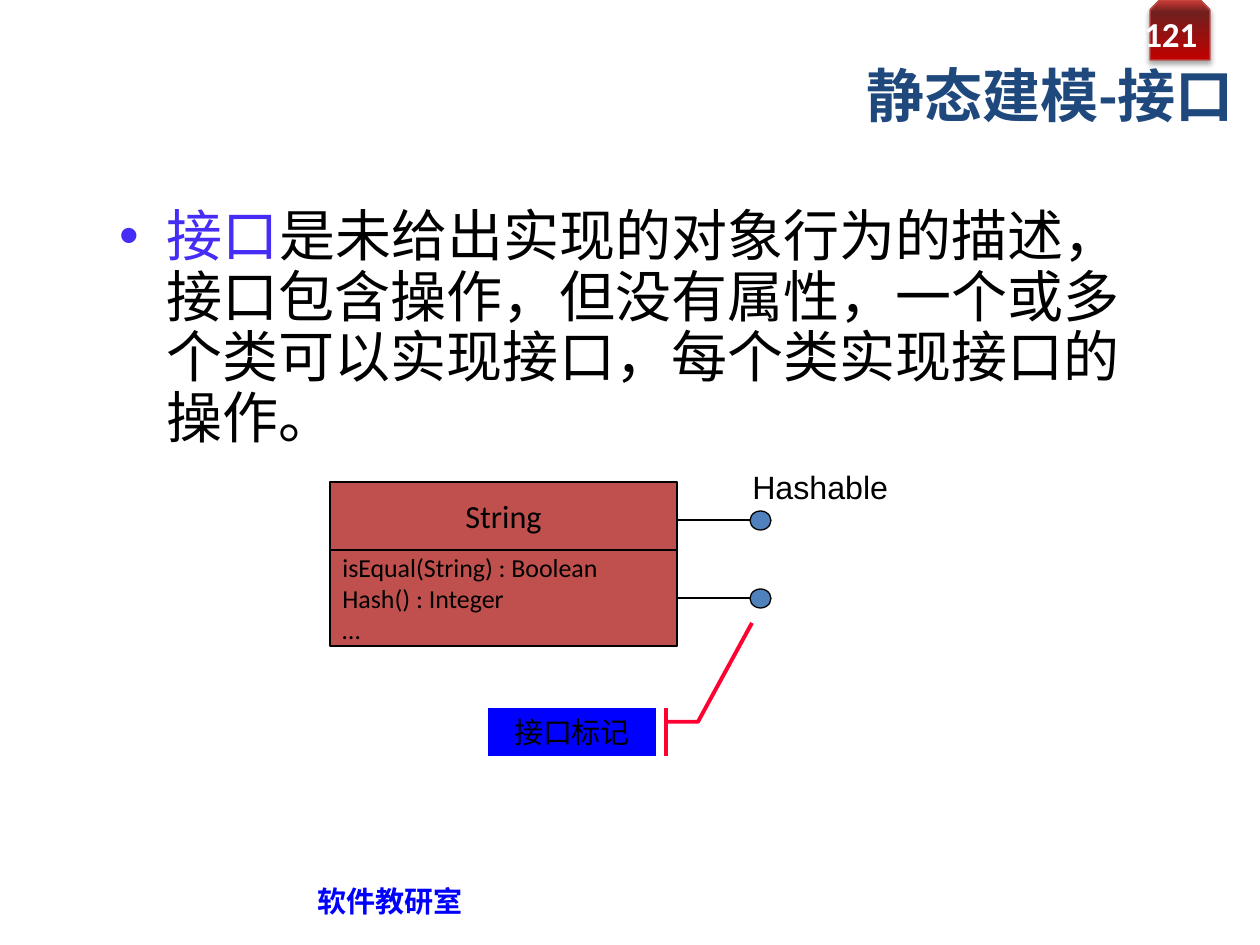
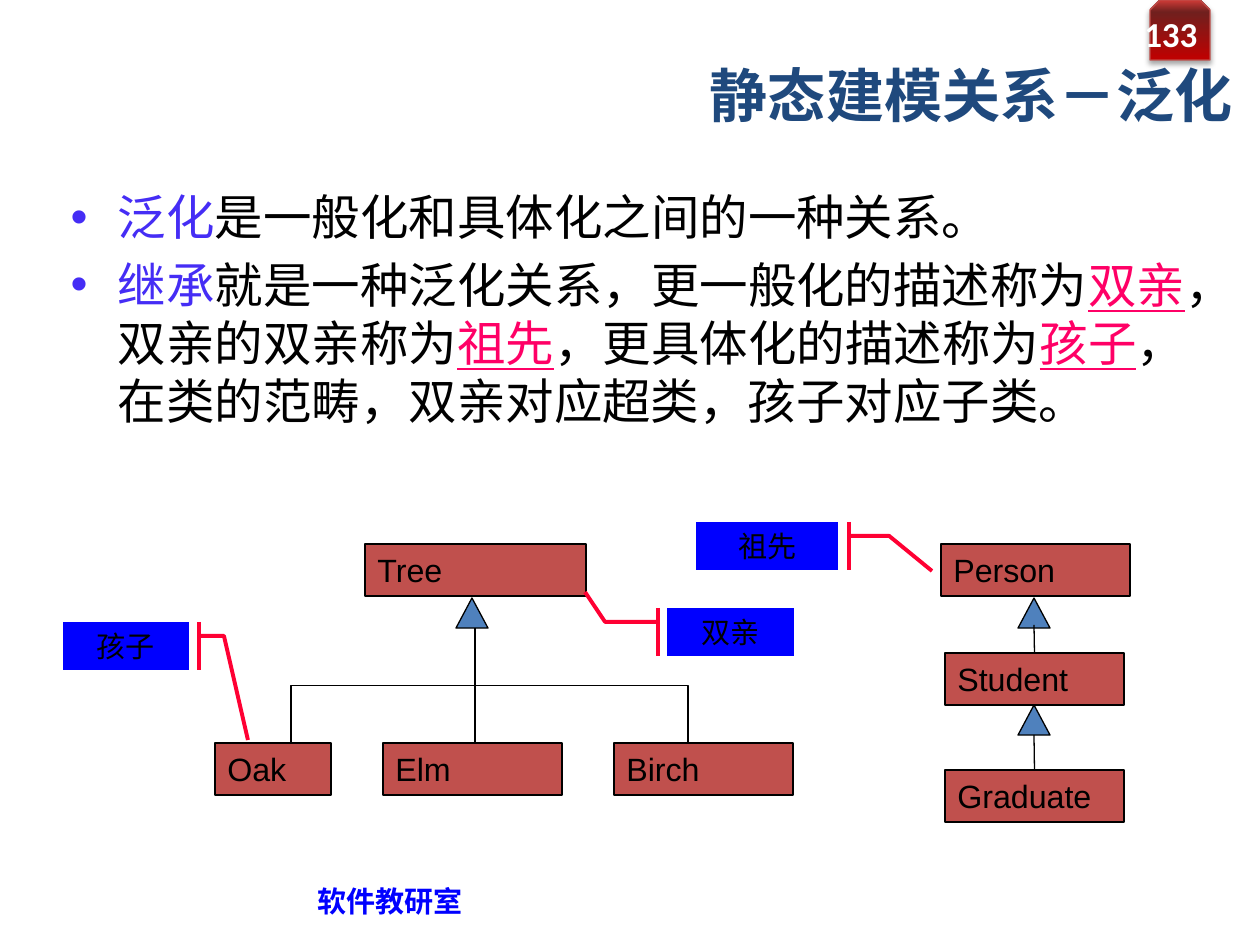
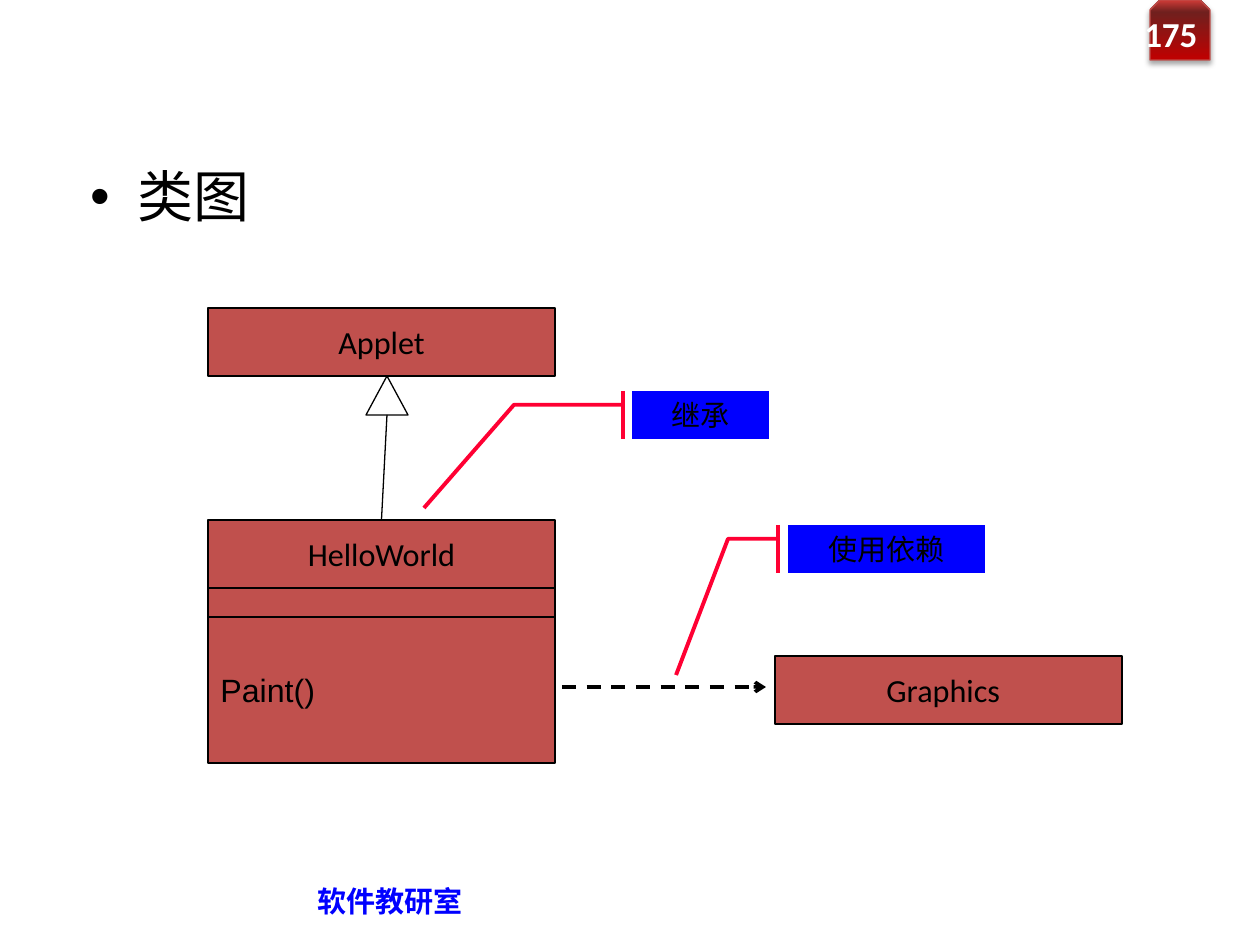
from lxml import etree
from pptx import Presentation
from pptx import util as u
from pptx.dml.color import RGBColor
from pptx.enum import dml, lang, shapes, text
from pptx.oxml import ns

SCALE = 914400 / 126
NAVY = RGBColor(0x1F, 0x49, 0x7D)
BRICK = RGBColor(0xC0, 0x50, 0x4D)
STEEL = RGBColor(0x4F, 0x81, 0xBD)
BLUE = RGBColor(0x00, 0x00, 0xFF)
VIOLET = RGBColor(0x45, 0x2D, 0xF5)
PINK = RGBColor(0xFF, 0x00, 0x66)
RED = RGBColor(0xFF, 0x00, 0x33)
BADGE_EDGE = RGBColor(0xBF, 0x4C, 0x48)
BLACK = RGBColor(0x00, 0x00, 0x00)
WHITE = RGBColor(0xFF, 0xFF, 0xFF)
BADGE_STOPS = [(0, "C00000"), (80, "70201E"), (100, "CE3B37")]

CENTER, RIGHT = text.PP_ALIGN.CENTER, text.PP_ALIGN.RIGHT
MIDDLE = text.MSO_ANCHOR.MIDDLE
SHAPE = shapes.MSO_SHAPE

FOOTER = "软件教研室"
FOOTER_AREA = (305, 876, 180, 50)
TITLE_AREA = (500, 58, 746, 73)
BADGE_AREA = (1150, 0, 60, 60)
NUMBER_AREA = (1130, 9, 80, 50)
CALLOUT_HEIGHT = 48
CALLOUT_JOINT = 0.289

KEY = dict(color=VIOLET)
TERM = dict(color=PINK, underline=True)
NAME = dict(size=18.4, align=CENTER, edge=1)
NODE = dict(size=18.4, font="Arial")

SLIDES = [
    dict(
        page="121",
        title="静态建模-接口",
        body=dict(
            area=(107, 202, 1071, 190), size=32, spacing=0.9,
            paragraphs=[[
                ("接口", KEY),
                ("是未给出实现的对象行为的描述，接口包含操作，但没有属性，"
                 "一个或多个类可以实现接口，每个类实现接口的操作。", {}),
            ]],
        ),
        boxes=[
            ("String", (330, 482, 347, 68), NAME),
            (["isEqual(String) : Boolean", "Hash() : Integer", "…"],
             (330, 550, 347, 96), dict(size=14.8, edge=1)),
        ],
        marks=[
            (SHAPE.OVAL, (750, 511, 21, 19), STEEL),
            (SHAPE.OVAL, (750, 589, 21, 19), STEEL),
        ],
        lines=[
            ((677, 520), (750, 520), None),
            ((750, 598), (677, 598), (1, 3)),
        ],
        labels=[("Hashable", (740, 461, 242, 52))],
        callouts=[("接口标记", (488, 708), 168, 666, 698, (752, 623))],
    ),
    dict(
        page="133",
        title="静态建模关系－泛化",
        body=dict(
            area=(58, 181, 1153, 262), size=27.7,
            paragraphs=[
                [("泛化", KEY), ("是一般化和具体化之间的一种关系。", {})],
                [
                    ("继承", KEY),
                    ("就是一种泛化关系，更一般化的描述称为", {}),
                    ("双亲", TERM),
                    ("，双亲的双亲称为", {}),
                    ("祖先", TERM),
                    ("，更具体化的描述称为", {}),
                    ("孩子", TERM),
                    ("，在类的范畴，双亲对应超类，孩子对应子类。", {}),
                ],
            ],
        ),
        boxes=[
            ("Tree", (365, 544, 221, 52), NODE),
            ("Oak", (215, 743, 116, 52), NODE),
            ("Elm", (383, 743, 179, 52), NODE),
            ("Birch", (614, 743, 179, 52), NODE),
            ("Person", (941, 544, 189, 52), NODE),
            ("Student", (945, 653, 179, 52), NODE),
            ("Graduate", (945, 770, 179, 52), NODE),
        ],
        marks=[
            (SHAPE.ISOSCELES_TRIANGLE, (456, 598, 32, 30), STEEL),
            (SHAPE.ISOSCELES_TRIANGLE, (1018, 598, 32, 30), STEEL),
            (SHAPE.ISOSCELES_TRIANGLE, (1018, 705, 32, 30), STEEL),
        ],
        lines=[
            ((475, 743), (475, 628), None),
            ((1034, 625), (1034, 653), (5, 0)),
            ((1034, 735), (1034, 770), (6, 0)),
        ],
        elbows=[((291, 743), (475, 628)), ((475, 628), (688, 743))],
        callouts=[
            ("孩子", (63, 622), 126, 199, 224, (248, 740)),
            ("双亲", (667, 608), 127, 658, 605, (585, 592)),
            ("祖先", (696, 522), 142, 849, 889, (932, 571)),
        ],
    ),
    dict(
        page="175",
        body=dict(area=(78, 163, 926, 76), size=32, spacing=0.9,
                  paragraphs=["类图"]),
        boxes=[
            ("HelloWorld", (208, 520, 347, 68), NAME),
            (None, (208, 588, 347, 29), dict(edge=1)),
            ("Paint()", (208, 617, 347, 146), NODE),
            ("Applet", (208, 308, 347, 68), NAME),
            ("Graphics", (775, 656, 347, 68), dict(NAME, right_inset=23)),
        ],
        marks=[(SHAPE.ISOSCELES_TRIANGLE, (366, 376, 42, 39), None)],
        lines=[((387, 415), (382, 520), (0, 0))],
        arrow=((562, 687), (766, 687)),
        callouts=[
            ("继承", (632, 391), 137, 623, 514, (424, 508)),
            ("使用依赖", (788, 525), 197, 778, 728, (676, 675)),
        ],
    ),
]


def px(length):
    return u.Emu(round(length * SCALE))


def write(shape, content, size, font="Calibri", color=BLACK, bold=False,
          align=None, anchor=None, spacing=None, right_inset=None):
    frame = shape.text_frame
    frame.word_wrap = True
    frame.auto_size = text.MSO_AUTO_SIZE.NONE
    if anchor is not None:
        frame.vertical_anchor = anchor
    if right_inset is not None:
        frame.margin_right = px(right_inset)
    paragraphs = [content] if isinstance(content, str) else content
    for index, runs in enumerate(paragraphs):
        paragraph = frame.add_paragraph() if index else frame.paragraphs[0]
        if index == 0:
            paragraph.space_before = u.Pt(0)
        paragraph.alignment = align or text.PP_ALIGN.LEFT
        if spacing:
            paragraph.line_spacing = spacing
        for words, change in [(runs, {})] if isinstance(runs, str) else runs:
            run = paragraph.add_run()
            run.text = words
            run.font.size = u.Pt(size)
            run.font.name = font
            run.font.color.rgb = change.get("color", color)
            run.font.bold = bold
            run.font.underline = change.get("underline", False)
            run.font.language_id = lang.MSO_LANGUAGE_ID.SIMPLIFIED_CHINESE


def place(shape, area):
    shape.left, shape.top, shape.width, shape.height = map(px, area)


def add_label(slide, content, area, **style):
    write(slide.shapes.add_textbox(*map(px, area)), content, **style)


def add_figure(slide, kind, area, fill, line=BLACK, width=0.75):
    shape = slide.shapes.add_shape(kind, *map(px, area))
    shape.shadow.inherit = False
    if fill is None:
        shape.fill.background()
    else:
        shape.fill.solid()
        shape.fill.fore_color.rgb = fill
    shape.line.color.rgb = line
    shape.line.width = u.Pt(width)
    return shape


def add_box(slide, content, area, edge=0.75, **style):
    shape = add_figure(slide, SHAPE.RECTANGLE, area, BRICK, width=edge)
    if content:
        write(shape, content, anchor=MIDDLE, **style)
    return shape


def add_callout(slide, label, corner, width, bar, bend, tip):
    left, top = corner
    shape = add_figure(slide, SHAPE.LINE_CALLOUT_2_ACCENT_BAR,
                       (left, top, width, CALLOUT_HEIGHT), BLUE, RED, 2.25)
    values = (CALLOUT_JOINT, (bar - left) / width,
              CALLOUT_JOINT, (bend - left) / width,
              (tip[1] - top) / CALLOUT_HEIGHT, (tip[0] - left) / width)
    for index, value in enumerate(values):
        shape.adjustments[index] = value
    write(shape, label, size=16.6, align=CENTER, anchor=MIDDLE)


def add_line(slide, begin, end, kind=shapes.MSO_CONNECTOR.STRAIGHT, width=0.75):
    connector = slide.shapes.add_connector(kind, *map(px, begin + end))
    connector.line.color.rgb = BLACK
    connector.line.width = u.Pt(width)
    etree.SubElement(connector._element.spPr, ns.qn("a:effectLst"))
    return connector


def add_elbow(slide, begin, end):
    center_x, center_y = (begin[0] + end[0]) / 2, (begin[1] + end[1]) / 2
    turned = [(center_x - (y - center_y), center_y + (x - center_x))
              for x, y in (begin, end)]
    connector = add_line(slide, *turned, kind=shapes.MSO_CONNECTOR.ELBOW)
    connector._element.spPr.find(ns.qn("a:xfrm")).set("rot", "16200000")


def add_arrow(slide, begin, end):
    connector = add_line(slide, begin, end, width=2)
    connector.line.dash_style = dml.MSO_LINE.DASH
    line = connector._element.spPr.find(ns.qn("a:ln"))
    etree.SubElement(line, ns.qn("a:tailEnd"), type="arrow")


def add_badge(slide, page):
    badge = add_figure(slide, SHAPE.SNIP_2_SAME_RECTANGLE, BADGE_AREA,
                       BRICK, BADGE_EDGE)
    badge.fill.gradient()
    badge.fill.gradient_angle = 90
    properties = badge._element.spPr
    stops = properties.find(ns.qn("a:gradFill")).find(ns.qn("a:gsLst"))
    for stop in list(stops):
        stops.remove(stop)
    for position, color in BADGE_STOPS:
        stop = etree.SubElement(stops, ns.qn("a:gs"), pos=str(position * 1000))
        etree.SubElement(stop, ns.qn("a:srgbClr"), val=color)
    shadow = etree.SubElement(
        properties.find(ns.qn("a:effectLst")), ns.qn("a:outerShdw"),
        blurRad=str(u.Pt(3.1)), dist=str(u.Pt(1.8)), dir="5400000", rotWithShape="0")
    tint = etree.SubElement(shadow, ns.qn("a:srgbClr"), val="000000")
    etree.SubElement(tint, ns.qn("a:alpha"), val="35000")
    add_label(slide, page, NUMBER_AREA, size=20, color=WHITE, bold=True,
              align=RIGHT, anchor=MIDDLE)


def add_frame(slide, content):
    add_badge(slide, content["page"])
    add_label(slide, FOOTER, FOOTER_AREA, size=16.6, font="Arial", color=BLUE,
              bold=True, anchor=MIDDLE)
    title = slide.shapes.title
    if "title" in content:
        place(title, TITLE_AREA)
        write(title, content["title"], size=33.2, color=NAVY, bold=True,
              align=RIGHT, anchor=MIDDLE)
    else:
        title._element.getparent().remove(title._element)
    body = content["body"]
    placeholder = slide.placeholders[1]
    place(placeholder, body["area"])
    write(placeholder, body["paragraphs"], size=body["size"],
          spacing=body.get("spacing"))


def build_slide(presentation, content):
    slide = presentation.slides.add_slide(presentation.slide_layouts[1])
    add_frame(slide, content)
    boxes = [add_box(slide, label, area, **style)
             for label, area, style in content["boxes"]]
    for kind, area, fill in content["marks"]:
        add_figure(slide, kind, area, fill)
    for begin, end, joint in content["lines"]:
        connector = add_line(slide, begin, end)
        if joint:
            box, side = joint
            connector.end_connect(boxes[box], side)
    for begin, end in content.get("elbows", []):
        add_elbow(slide, begin, end)
    if "arrow" in content:
        add_arrow(slide, *content["arrow"])
    for label, area in content.get("labels", []):
        add_label(slide, label, area, size=18.4, font="Arial")
    for callout in content["callouts"]:
        add_callout(slide, *callout)


def main():
    presentation = Presentation()
    presentation.slide_width, presentation.slide_height = px(1260), px(945)
    for content in SLIDES:
        build_slide(presentation, content)
    presentation.save("out.pptx")


if __name__ == "__main__":
    main()
